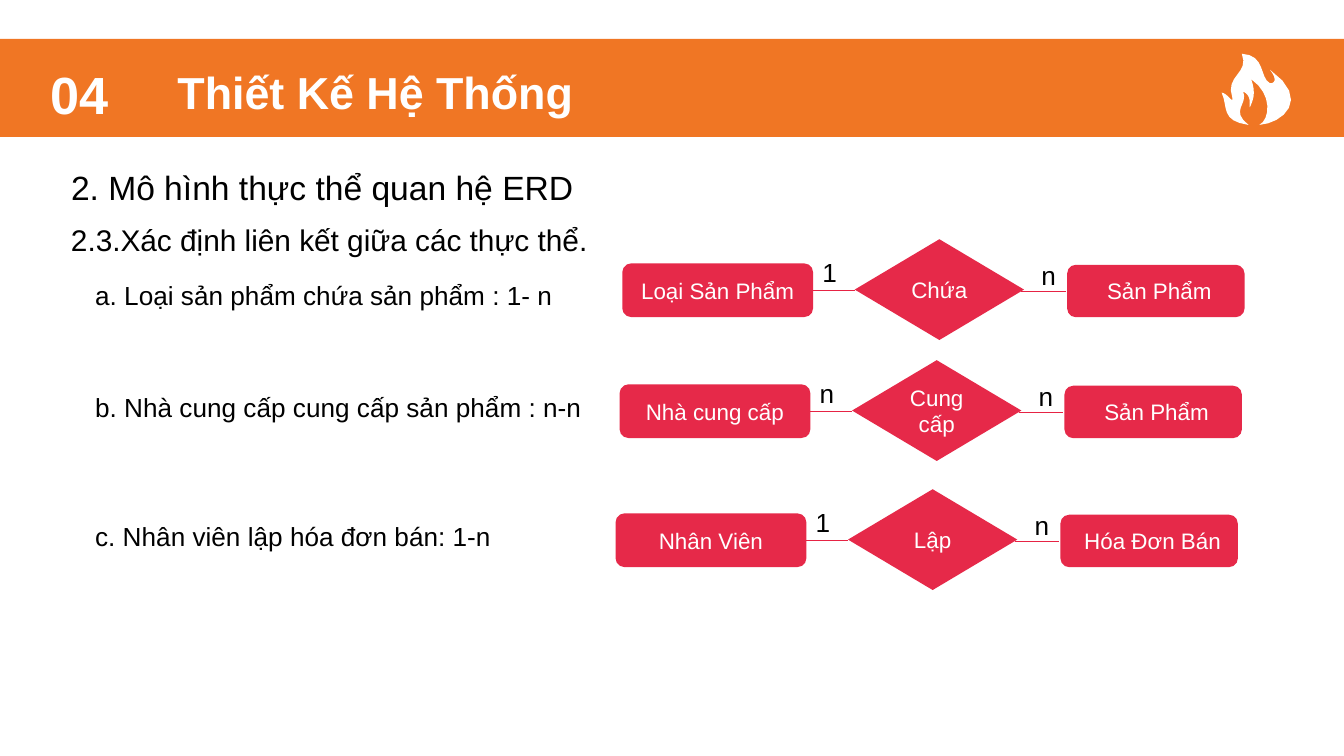
from pptx import Presentation, util as u
from pptx.dml.color import RGBColor
from pptx.enum import shapes, text
from pptx.oxml import parse_xml
from pptx.oxml.ns import nsdecls

ORANGE, RED, LINE, WHITE, BLACK = "F07624", "E62949", "E62344", "FFFFFF", "000000"
NUMBER, TITLE = "04", "Thiết Kế Hệ Thống"
HEADINGS = [
    ("2. Mô hình thực thể quan hệ ERD", 1.19, 4.02, 0.4, 18),
    ("2.3.Xác định liên kết giữa các thực thể.", 1.6, 5.04, 0.57, 16),
]
RELATIONS = [
    ("a. Loại sản phẩm chứa sản phẩm : 1- n", 2.03, 4.63, 1.96,
     ("Loại Sản Phẩm", "1", "Chứa", "n", "Sản Phẩm")),
    ("b. Nhà cung cấp cung cấp sản phẩm : n-n", 2.86, 4.61, 2.86,
     ("Nhà cung cấp", "n", "Cung cấp", "n", "Sản Phẩm")),
    ("c. Nhân viên lập hóa đơn bán: 1-n", 3.82, 4.58, 3.82,
     ("Nhân Viên", "1", "Lập", "n", "Hóa Đơn Bán")),
]
FLAME_START = (9.29, 0.93)
FLAME_CURVES = [
    ((9.08, 0.9), (9.14, 0.8), (9.09, 0.69)),
    ((9.13, 0.69), (9.18, 0.78), (9.17, 0.73)),
    ((9.11, 0.56), (9.3, 0.55), (9.24, 0.4)),
    ((9.42, 0.41), (9.37, 0.58), (9.45, 0.62)),
    ((9.48, 0.62), (9.51, 0.6), (9.45, 0.52)),
    ((9.76, 0.74), (9.54, 0.92), (9.37, 0.93)),
    ((9.45, 0.89), (9.47, 0.7), (9.31, 0.59)),
    ((9.35, 0.7), (9.32, 0.75), (9.3, 0.8)),
    ((9.29, 0.77), (9.32, 0.72), (9.25, 0.68)),
    ((9.29, 0.78), (9.15, 0.82), (9.29, 0.93)),
]


def color(value):
    return RGBColor.from_string(value)


def write(box, content, size=14, ink=BLACK, bold=False, align=text.PP_ALIGN.LEFT,
          anchor=text.MSO_ANCHOR.TOP, left=0.1, right=0.1, edge=0.05):
    frame = box.text_frame
    frame.word_wrap = True
    frame.auto_size = text.MSO_AUTO_SIZE.NONE
    frame.vertical_anchor = anchor
    frame.margin_left, frame.margin_right = u.Inches(left), u.Inches(right)
    frame.margin_top = frame.margin_bottom = u.Inches(edge)
    para = frame.paragraphs[0]
    para.alignment = align
    span = para.add_run()
    span.text = content
    span.font.name, span.font.size, span.font.bold = "Arial", u.Pt(size), bold
    span.font.color.rgb = color(ink)


def add_text(page, content, place, **style):
    box = page.shapes.add_textbox(*map(u.Inches, place))
    write(box, content, **style)


def paint(shape, fill):
    shape.shadow.inherit = False
    shape.fill.solid()
    shape.fill.fore_color.rgb = color(fill)
    shape.line.fill.background()


def add_block(page, kind, place, fill, content=None, **style):
    block = page.shapes.add_shape(kind, *map(u.Inches, place))
    paint(block, fill)
    if content:
        write(block, content, size=12, ink=WHITE, align=text.PP_ALIGN.CENTER,
              anchor=text.MSO_ANCHOR.MIDDLE, **style)


def add_link(page, start, end, y):
    link = page.shapes.add_connector(
        shapes.MSO_CONNECTOR.STRAIGHT, *map(u.Inches, (start, y, end, y)))
    link.line.color.rgb = color(LINE)
    link.line.width = u.Pt(0.75)
    link._element.spPr.append(parse_xml(f"<a:effectLst {nsdecls('a')}/>"))


def add_flame(page, steps=8):
    points, last = [], FLAME_START
    for first, second, end in FLAME_CURVES:
        for step in range(1, steps + 1):
            t = step / steps
            weights = ((1 - t) ** 3, 3 * t * (1 - t) ** 2, 3 * t * t * (1 - t), t ** 3)
            corners = (last, first, second, end)
            points.append(tuple(
                u.Inches(sum(w * c[axis] for w, c in zip(weights, corners)))
                for axis in (0, 1)))
        last = end
    builder = page.shapes.build_freeform(*map(u.Inches, FLAME_START))
    builder.add_line_segments(points, close=True)
    paint(builder.convert_to_shape(), WHITE)


def add_relation(page, label, label_top, x, y, parts):
    source, source_count, verb, target_count, target = parts
    rounded, diamond = shapes.MSO_SHAPE.ROUNDED_RECTANGLE, shapes.MSO_SHAPE.DIAMOND
    add_text(page, label, (0.61, label_top, 7.87, 0.34))
    add_block(page, rounded, (x, y, 1.42, 0.4), RED, source)
    add_block(page, diamond, (x + 1.73, y - 0.18, 1.26, 0.75), RED, verb,
              left=0.05, right=0.05)
    add_block(page, rounded, (x + 3.31, y + 0.01, 1.32, 0.39), RED, target, left=0.15)
    add_link(page, x + 1.42, x + 1.73, y + 0.2)
    add_link(page, x + 2.97, x + 3.3, y + 0.21)
    add_text(page, source_count, (x + 1.39, y - 0.1, 0.33, 0.34))
    add_text(page, target_count, (x + 3.02, y - 0.08, 0.33, 0.34))


def main():
    """Build the slide on entity relationships and save it."""
    deck = Presentation()
    deck.slide_width = u.Inches(10)
    deck.slide_height = deck.slide_width * 9 // 16
    page = deck.slides.add_slide(deck.slide_layouts[5])
    add_block(page, shapes.MSO_SHAPE.RECTANGLE, (0, 0.29, 10, 0.73), ORANGE)
    add_flame(page)
    add_text(page, NUMBER, (0.28, 0.46, 0.66, 0.47), size=28, ink=WHITE, bold=True,
             anchor=text.MSO_ANCHOR.MIDDLE, edge=0)
    title = page.shapes.title
    title.left, title.top, title.width, title.height = map(
        u.Inches, (1.22, 0.43, 5.36, 0.5))
    write(title, TITLE, size=24, ink=WHITE, bold=True)
    page.shapes._spTree.append(title._element)
    for content, top, width, height, size in HEADINGS:
        add_text(page, content, (0.43, top, width, height), size=size)
    for relation in RELATIONS:
        add_relation(page, *relation)
    deck.save("out.pptx")


if __name__ == "__main__":
    main()
